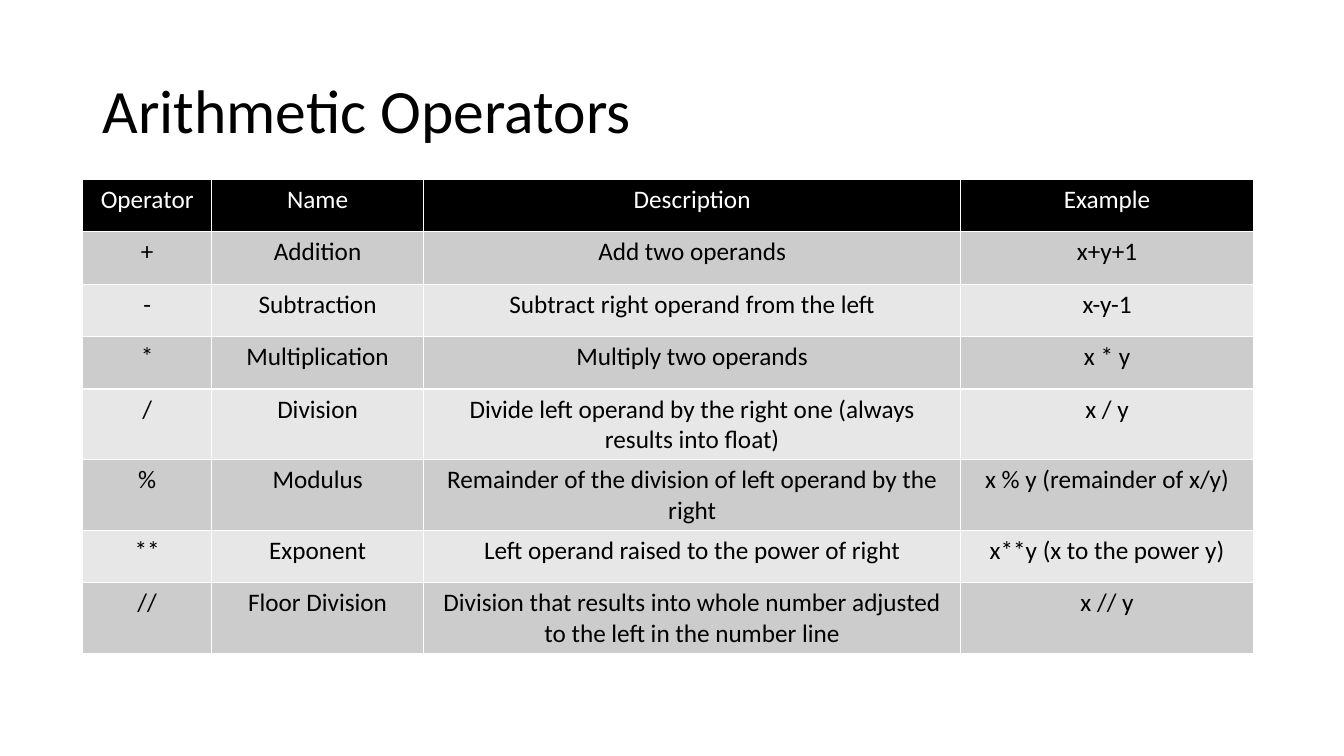
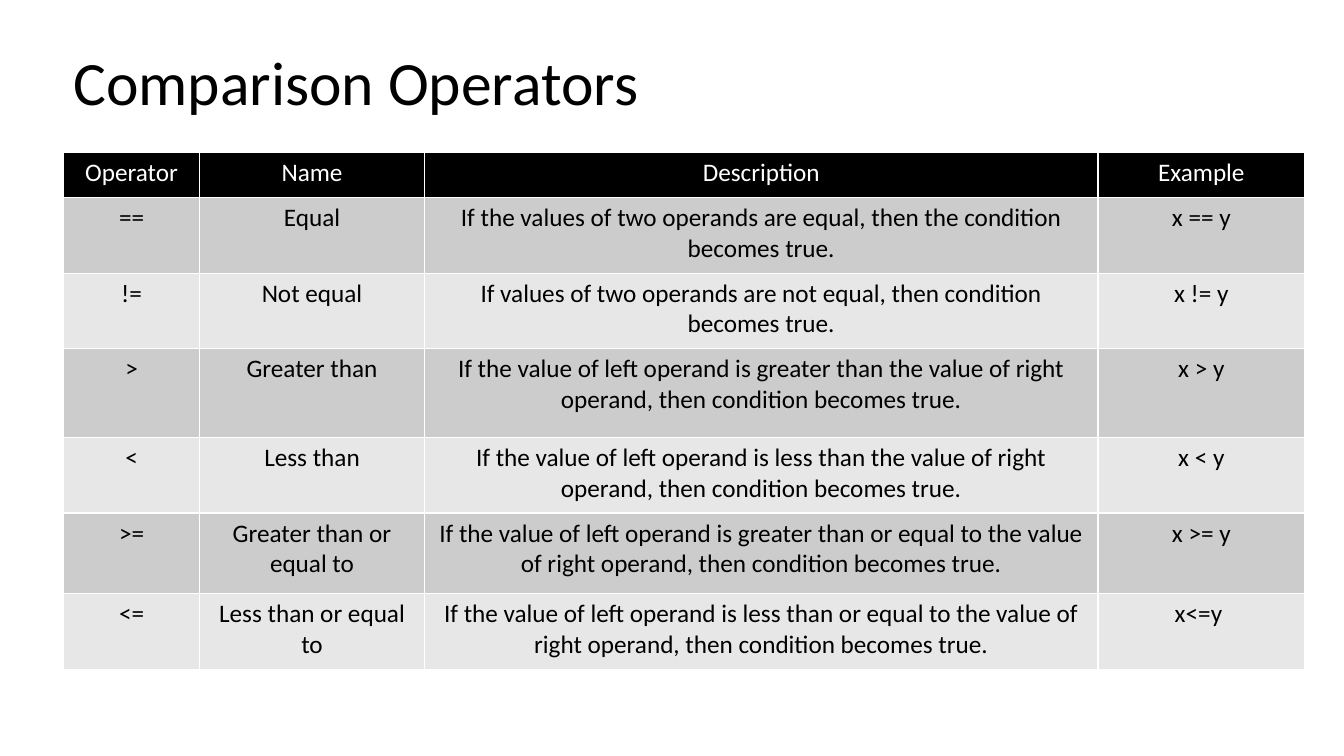
from dataclasses import dataclass

from pptx import Presentation
from pptx.dml.color import RGBColor
from pptx.enum.text import MSO_ANCHOR, PP_ALIGN
from pptx.presentation import Presentation as Deck
from pptx.slide import Slide
from pptx.table import _Cell
from pptx.text.text import _Paragraph
from pptx.util import Emu, Pt

CENTER = PP_ALIGN.CENTER
MIDDLE = MSO_ANCHOR.MIDDLE

EMU_PER_PX = 9144  # 100 px to the inch
SLIDE_WIDTH, SLIDE_HEIGHT = 1333, 750
TITLE_WIDTH, TITLE_HEIGHT = 1150, 145

BLACK = RGBColor(0x00, 0x00, 0x00)
WHITE = RGBColor(0xFF, 0xFF, 0xFF)
DARK_BAND = RGBColor(0xCC, 0xCC, 0xCC)
LIGHT_BAND = RGBColor(0xE7, 0xE7, 0xE7)

FONT = "Calibri"
TITLE_SIZE = 44
CELL_SIZE = 18

HEADER = ("Operator", "Name", "Description", "Example")


@dataclass(frozen=True)
class OperatorSlide:
    title: str
    title_left: int
    title_top: int
    table_left: int
    table_top: int
    column_widths: tuple[int, ...]
    row_heights: tuple[int, ...]
    operators: tuple[tuple[str, str, str, str], ...]


OPERATOR_SLIDES = (
    OperatorSlide(
        title="Arithmetic Operators",
        title_left=92,
        title_top=40,
        table_left=82,
        table_top=178,
        column_widths=(128, 210, 533, 290),
        row_heights=(52,) * 8,
        operators=(
            ("+", "Addition", "Add two operands", "x+y+1"),
            ("-", "Subtraction", "Subtract right operand from the left", "x-y-1"),
            ("*", "Multiplication", "Multiply two operands", "x * y"),
            ("/", "Division",
             "Divide left operand by the right one (always results into float)",
             "x / y"),
            ("%", "Modulus",
             "Remainder of the division of left operand by the right",
             "x % y (remainder of x/y)"),
            ("**", "Exponent", "Left operand raised to the power of right",
             "x**y (x to the power y)"),
            ("//", "Floor Division",
             "Division that results into whole number "
             "adjusted to the left in the number line",
             "x // y"),
        ),
    ),
    OperatorSlide(
        title="Comparison Operators",
        title_left=63,
        title_top=12,
        table_left=63,
        table_top=151,
        column_widths=(135, 223, 668, 205),
        row_heights=(45, 75, 75, 88, 75, 80, 75),
        operators=(
            ("==", "Equal",
             "If the values of two operands are equal, "
             "then the condition becomes true.",
             "x == y"),
            ("!=", "Not equal",
             "If values of two operands are not equal, "
             "then condition becomes true.",
             "x != y"),
            (">", "Greater than",
             "If the value of left operand is greater than "
             "the value of right operand, then condition becomes true.",
             "x > y"),
            ("<", "Less than",
             "If the value of left operand is less than "
             "the value of right operand, then condition becomes true.",
             "x < y"),
            (">=", "Greater than or equal to",
             "If the value of left operand is greater than or equal to "
             "the value of right operand, then condition becomes true.",
             "x >= y"),
            ("<=", "Less than or equal to",
             "If the value of left operand is less than or equal to "
             "the value of right operand, then condition becomes true.",
             "x<=y "),
        ),
    ),
)


def px(length: int) -> Emu:
    return Emu(length * EMU_PER_PX)


def add_run(paragraph: _Paragraph, text: str, size: int, color: RGBColor) -> None:
    run = paragraph.add_run()
    run.text = text
    run.font.name = FONT
    run.font.size = Pt(size)
    run.font.bold = False
    run.font.color.rgb = color


def add_title(slide: Slide, text: str, left: int, top: int) -> None:
    box = slide.shapes.add_textbox(
        px(left), px(top), px(TITLE_WIDTH), px(TITLE_HEIGHT))
    box.text_frame.word_wrap = True
    box.text_frame.vertical_anchor = MIDDLE
    paragraph = box.text_frame.paragraphs[0]
    paragraph.line_spacing = 0.9
    add_run(paragraph, text, TITLE_SIZE, BLACK)


def fill_cell(cell: _Cell, text: str, fill: RGBColor, color: RGBColor) -> None:
    cell.fill.solid()
    cell.fill.fore_color.rgb = fill
    paragraph = cell.text_frame.paragraphs[0]
    paragraph.alignment = CENTER
    add_run(paragraph, text, CELL_SIZE, color)


def row_colors(row_index: int) -> tuple[RGBColor, RGBColor]:
    """Return the fill and text colours of a table row."""
    if row_index == 0:
        return BLACK, WHITE
    return (DARK_BAND if row_index % 2 else LIGHT_BAND), BLACK


def add_operator_table(slide: Slide, content: OperatorSlide) -> None:
    rows = (HEADER, *content.operators)
    table = slide.shapes.add_table(
        len(rows), len(HEADER),
        px(content.table_left), px(content.table_top),
        px(sum(content.column_widths)), px(sum(content.row_heights))).table
    for column, width in zip(table.columns, content.column_widths):
        column.width = px(width)
    for row_index, (texts, height) in enumerate(zip(rows, content.row_heights)):
        table.rows[row_index].height = px(height)
        fill, color = row_colors(row_index)
        for cell, text in zip(table.rows[row_index].cells, texts):
            fill_cell(cell, text, fill, color)


def add_operator_slide(presentation: Deck, content: OperatorSlide) -> None:
    slide = presentation.slides.add_slide(presentation.slide_layouts[6])
    add_title(slide, content.title, content.title_left, content.title_top)
    add_operator_table(slide, content)


def main() -> None:
    presentation = Presentation()
    presentation.slide_width = px(SLIDE_WIDTH)
    presentation.slide_height = px(SLIDE_HEIGHT)
    for content in OPERATOR_SLIDES:
        add_operator_slide(presentation, content)
    presentation.save("out.pptx")


if __name__ == "__main__":
    main()
